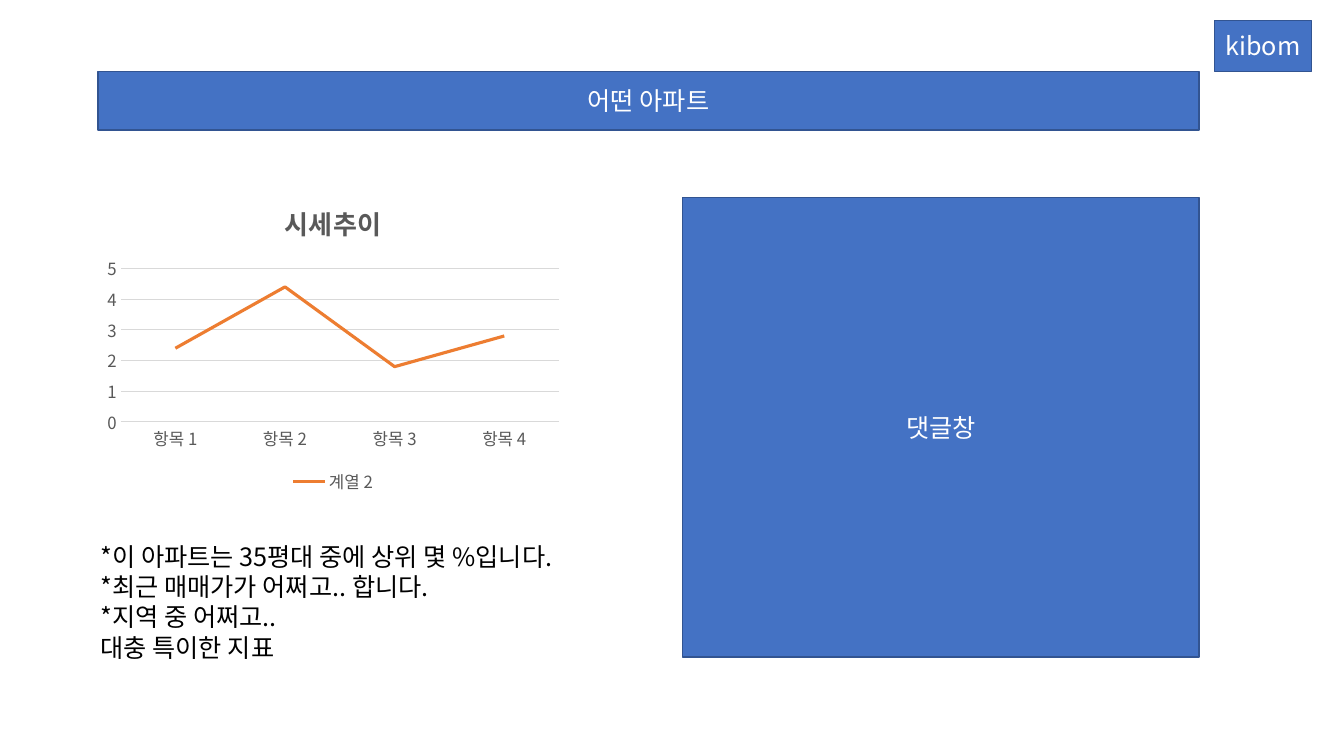
from dataclasses import dataclass

from pptx import Presentation
from pptx.chart.data import CategoryChartData
from pptx.dml.color import RGBColor
from pptx.enum.chart import XL_CHART_TYPE as ChartType
from pptx.enum.chart import XL_LEGEND_POSITION as LegendPosition
from pptx.enum.chart import XL_MARKER_STYLE as Marker
from pptx.enum.chart import XL_TICK_MARK as TickMark
from pptx.enum.shapes import MSO_SHAPE as Shape
from pptx.enum.text import MSO_ANCHOR as Anchor
from pptx.enum.text import MSO_AUTO_SIZE as AutoSize
from pptx.enum.text import PP_ALIGN as Align
from pptx.oxml.ns import qn
from pptx.util import Inches, Pt


@dataclass(frozen=True)
class Theme:
    face: str = "Noto Sans CJK KR"
    panel: str = "4472C4"
    border: str = "325491"
    on_panel: str = "FFFFFF"
    ink: str = "000000"
    muted: str = "595959"
    rule: str = "D9D9D9"
    trend: str = "ED7D31"
    body_size: float = 18
    heading_size: float = 18.6
    label_size: float = 12


class SlideBuilder:
    """Places elements on a grid of 100 columns by 100 rows."""

    def __init__(self, deck, theme):
        self.theme = theme
        self.column = deck.slide_width / 100
        self.row = deck.slide_height / 100
        self.shapes = deck.slides.add_slide(deck.slide_layouts[6]).shapes

    def area(self, left, top, width, height):
        return (round(left * self.column), round(top * self.row),
                round(width * self.column), round(height * self.row))

    def style(self, font, size, color):
        font.size = Pt(size)
        font.name = self.theme.face
        font.color.rgb = RGBColor.from_string(color)
        # Hangul takes its typeface from the East Asian slot
        properties = font._element
        east_asian = properties.makeelement(qn("a:ea"), {"typeface": self.theme.face})
        properties.find(qn("a:latin")).addnext(east_asian)

    def stroke(self, line, color, width):
        line.color.rgb = RGBColor.from_string(color)
        line.width = Pt(width)

    def add_text(self, paragraph, text, size, color):
        run = paragraph.add_run()
        run.text = text
        self.style(run.font, size, color)

    def panel(self, label, *cells):
        box = self.shapes.add_shape(Shape.RECTANGLE, *self.area(*cells))
        box.shadow.inherit = False
        box.fill.solid()
        box.fill.fore_color.rgb = RGBColor.from_string(self.theme.panel)
        self.stroke(box.line, self.theme.border, 1)
        box.text_frame.vertical_anchor = Anchor.MIDDLE
        paragraph = box.text_frame.paragraphs[0]
        paragraph.alignment = Align.CENTER
        self.add_text(paragraph, label, self.theme.body_size, self.theme.on_panel)

    def notes(self, lines, *cells):
        frame = self.shapes.add_textbox(*self.area(*cells)).text_frame
        frame.word_wrap = False
        frame.auto_size = AutoSize.SHAPE_TO_FIT_TEXT
        for index, line in enumerate(lines):
            paragraph = frame.add_paragraph() if index else frame.paragraphs[0]
            self.add_text(paragraph, line, self.theme.body_size, self.theme.ink)

    def line_chart(self, heading, categories, name, values, *cells):
        theme = self.theme
        data = CategoryChartData()
        data.categories = categories
        data.add_series(name, values)
        chart = self.shapes.add_chart(
            ChartType.LINE_STACKED, *self.area(*cells), data).chart
        self.style(chart.font, theme.label_size, theme.muted)

        # Heading and legend
        title = chart.chart_title
        self.add_text(title.text_frame.paragraphs[0], heading,
                      theme.heading_size, theme.muted)
        title.include_in_layout = False
        chart.has_legend = True
        chart.legend.position = LegendPosition.BOTTOM
        chart.legend.include_in_layout = False
        self.style(chart.legend.font, theme.label_size, theme.muted)

        # Axes
        for axis in (chart.category_axis, chart.value_axis):
            axis.major_tick_mark = axis.minor_tick_mark = TickMark.NONE
            self.style(axis.tick_labels.font, theme.label_size, theme.muted)
        self.stroke(chart.category_axis.format.line, theme.rule, 0.75)
        scale = chart.value_axis
        scale.minimum_scale, scale.maximum_scale, scale.major_unit = 0, 5, 1
        scale.format.line.fill.background()
        self.stroke(scale.major_gridlines.format.line, theme.rule, 0.75)

        # Series
        plot = chart.plots[0]
        plot.vary_by_categories = False
        trend = plot.series[0]
        trend.smooth = False
        trend.marker.style = Marker.NONE
        self.stroke(trend.format.line, theme.trend, 2.25)


def main():
    deck = Presentation()
    deck.slide_width, deck.slide_height = Inches(13.33), Inches(7.5)
    slide = SlideBuilder(deck, Theme())
    left, right, comments_left = 7.28, 89.22, 50.78

    # Header
    slide.panel("어떤 아파트", left, 9.47, right - left, 7.73)

    # Price trend
    slide.line_chart("시세추이", [f"항목 {n}" for n in range(1, 5)],
                     "계열 2", (2.4, 4.4, 1.8, 2.8), left, 24.4, 35.02, 41.47)

    # Key facts
    slide.notes(("*이 아파트는 35평대 중에 상위 몇 %입니다.",
                 "*최근 매매가가 어쩌고.. 합니다.",
                 "*지역 중 어쩌고..",
                 "대충 특이한 지표"), 6.75, 70.93, 38.85, 17.47)

    # Comments and user badge
    slide.panel("댓글창", comments_left, 26.13, right - comments_left, 60.8)
    slide.panel("kibom", 90.38, 2.67, 7.2, 6.8)

    deck.save("out.pptx")


if __name__ == "__main__":
    main()
